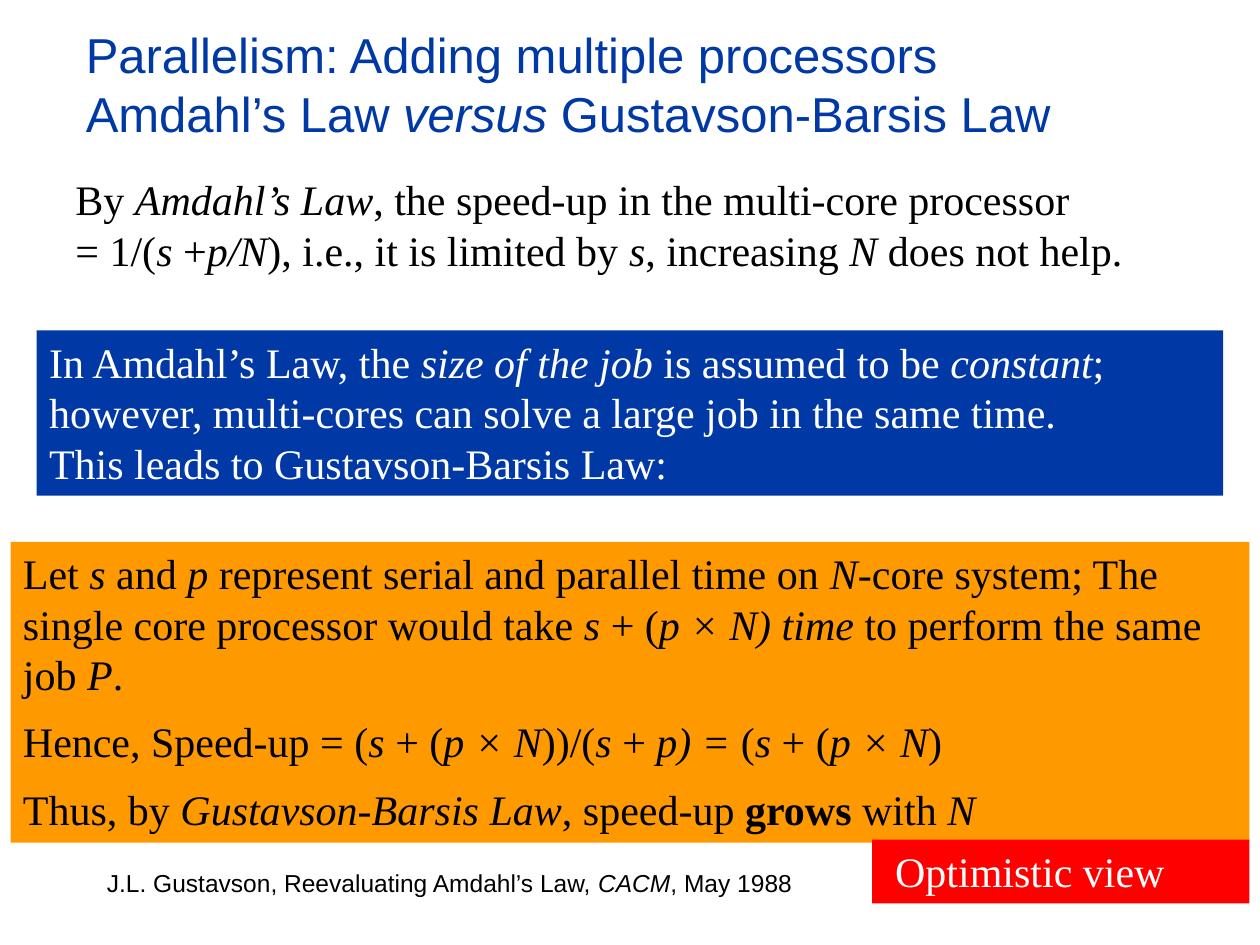
from dataclasses import dataclass

from pptx import Presentation
from pptx.dml.color import RGBColor
from pptx.enum.shapes import MSO_SHAPE
from pptx.enum.text import MSO_ANCHOR, PP_ALIGN
from pptx.util import Pt

RECTANGLE = MSO_SHAPE.RECTANGLE
TOP, BOTTOM = MSO_ANCHOR.TOP, MSO_ANCHOR.BOTTOM
LEFT = PP_ALIGN.LEFT


@dataclass(frozen=True)
class Theme:
    sans: str = "Arial"
    serif: str = "Times New Roman"
    black: str = "000000"
    white: str = "FFFFFF"
    blue: str = "0039A6"
    orange: str = "FF9900"
    red: str = "FF0000"
    title_size: float = 28
    body_size: float = 24
    source_size: float = 14
    inset: float = 7.2


THEME = Theme()


@dataclass(frozen=True)
class Span:
    text: str
    italic: bool = False
    bold: bool = False


def italic(text: str) -> Span:
    return Span(text, italic=True)


def bold(text: str) -> Span:
    return Span(text, bold=True)


Line = list[str | Span]


@dataclass(frozen=True)
class Panel:
    """A block of text; lengths are in points."""
    left: float
    top: float
    width: float
    height: float
    lines: list[Line]
    fill: str | None = None
    color: str = THEME.black
    font: str = THEME.serif
    size: float = THEME.body_size
    anchor: MSO_ANCHOR = TOP
    gap: float = 0
    left_inset: float = THEME.inset


def write_line(para, line: Line, panel: Panel) -> None:
    para.alignment = LEFT
    for part in line:
        span = Span(part) if isinstance(part, str) else part
        run = para.add_run()
        run.text = span.text
        run.font.name = panel.font
        run.font.size = Pt(panel.size)
        run.font.italic = span.italic
        run.font.bold = span.bold
        run.font.color.rgb = RGBColor.from_string(panel.color)


def draw_panel(page, panel: Panel) -> None:
    bounds = [Pt(v) for v in (panel.left, panel.top, panel.width, panel.height)]
    if panel.fill:
        box = page.shapes.add_shape(RECTANGLE, *bounds)
        box.shadow.inherit = False
        box.fill.solid()
        box.fill.fore_color.rgb = RGBColor.from_string(panel.fill)
        box.line.fill.background()
    else:
        box = page.shapes.add_textbox(*bounds)
    frame = box.text_frame
    frame.word_wrap = True
    frame.vertical_anchor = panel.anchor
    frame.margin_left = Pt(panel.left_inset)
    for index, line in enumerate(panel.lines):
        para = frame.add_paragraph() if index else frame.paragraphs[0]
        para.space_before = Pt(panel.gap if index else 0)
        write_line(para, line, panel)


SCALED_TIME: Line = [italic("s "), "+ (", italic("p × N")]

SOURCE = Panel(54, 488, 572.4, 28.1, [
    ["J.L. Gustavson, Reevaluating Amdahl’s Law, ", italic("CACM"), ", May 1988"],
], font=THEME.sans, size=THEME.source_size, anchor=BOTTOM)

AMDAHL = Panel(36, 95.8, 678.2, 65.5, [
    ["By ", italic("Amdahl’s Law"), ", the speed-up in the multi-core processor"],
    ["= 1/(", italic("s"), " +", italic("p/N"), "), i.e., it is limited by ",
     italic("s"), ", increasing ", italic("N"), " does not help."],
])

TITLE = Panel(42, 10.1, 650.2, 74.9, [
    ["Parallelism: Adding multiple processors"],
    ["Amdahl’s Law ", italic("versus"), " Gustavson-Barsis Law"],
], color=THEME.blue, font=THEME.sans, size=THEME.title_size, anchor=BOTTOM)

GUSTAVSON = Panel(6, 309.6, 708, 172, [
    ["Let ", italic("s "), "and ", italic("p"),
     " represent serial and parallel time on ", italic("N"),
     "-core system; The single core processor would take ",
     italic("s "), "+ (", italic("p × N) time "),
     "to perform the same job ", italic("P"), "."],
    ["Hence, Speed-up = (", *SCALED_TIME, "))/(", italic("s"), " + ",
     italic("p) = "), "(", *SCALED_TIME, ")"],
    ["Thus, by ", italic("Gustavson-Barsis Law"), ", speed-up ",
     bold("grows "), "with ", italic("N")],
], fill=THEME.orange, gap=9.6)

ASSUMPTION = Panel(21, 188.8, 678, 94.5, [
    ["In Amdahl’s Law, the ", italic("size of the job "),
     "is assumed to be ", italic("constant"), ";"],
    ["however, multi-cores can solve a large job in the same time."],
    ["This leads to Gustavson-Barsis Law:"],
], fill=THEME.blue, color=THEME.white)

VERDICT = Panel(498.3, 479.8, 215.7, 36.5, [["Optimistic view"]],
                fill=THEME.red, color=THEME.white, left_inset=13.2)


def main() -> None:
    deck = Presentation()
    deck.slide_width, deck.slide_height = Pt(720), Pt(540)
    page = deck.slides.add_slide(deck.slide_layouts[6])
    for panel in (SOURCE, AMDAHL, TITLE, GUSTAVSON, ASSUMPTION, VERDICT):
        draw_panel(page, panel)
    deck.save("out.pptx")


if __name__ == "__main__":
    main()
